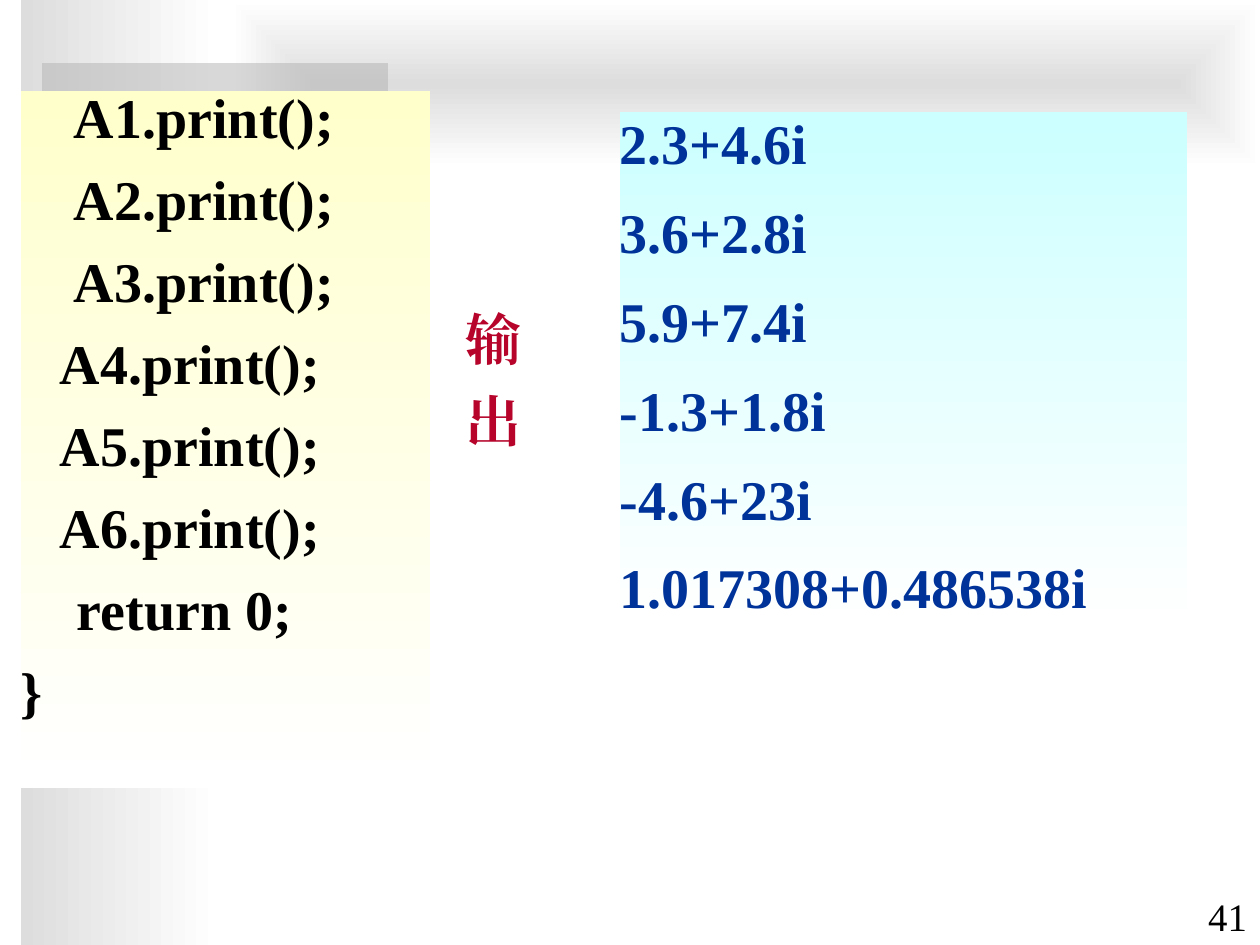
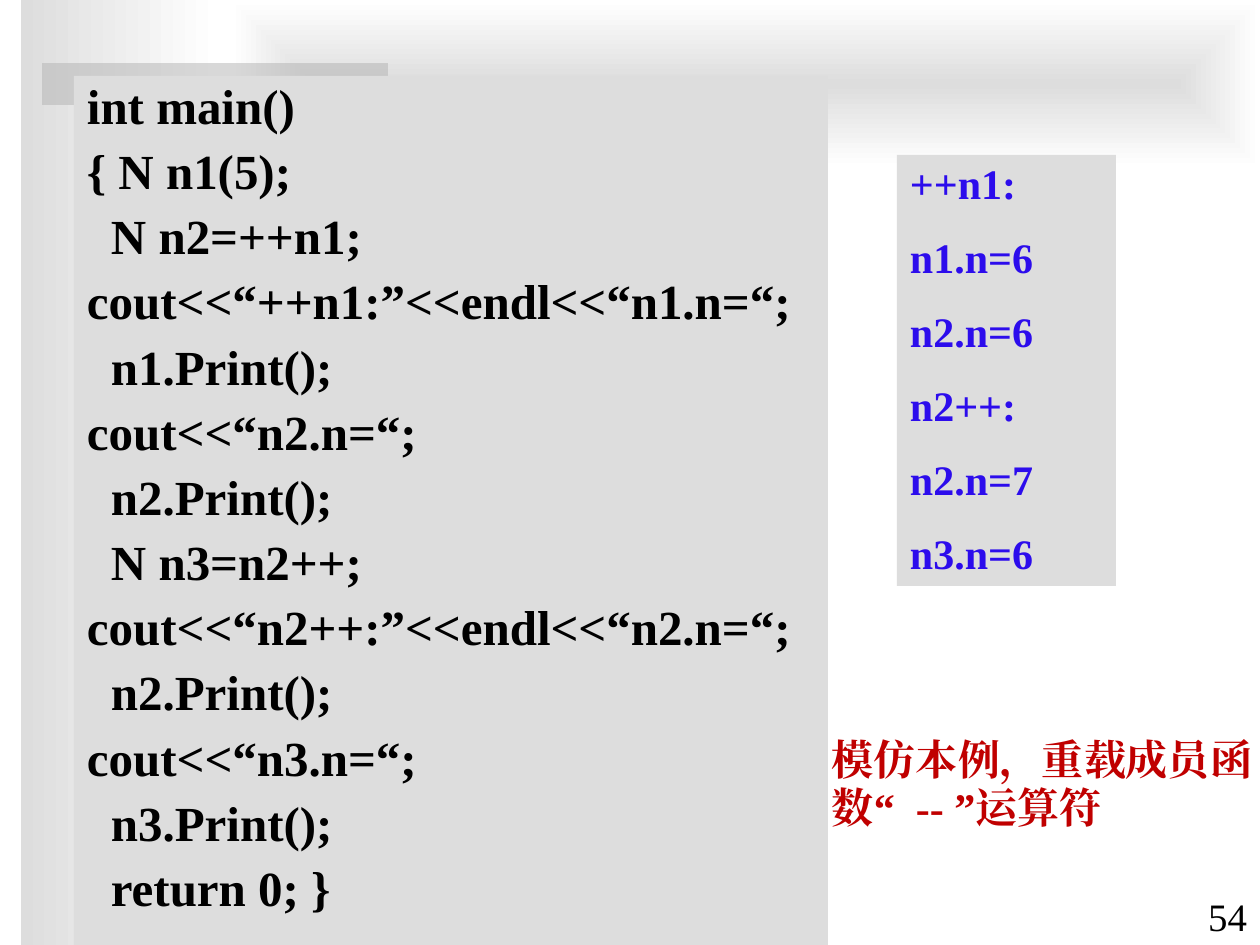
from lxml import etree
from pptx import Presentation
from pptx.dml.color import RGBColor
from pptx.enum import shapes, text
from pptx.oxml import ns
from pptx.util import Emu, Pt

SCALE = 914400 / 126
FONT = "Times New Roman"
BLACK = RGBColor(0x00, 0x00, 0x00)
WHITE = RGBColor(0xFF, 0xFF, 0xFF)
SILVER = RGBColor(0xDD, 0xDD, 0xDD)
GREY = RGBColor(0xB2, 0xB2, 0xB2)
CREAM = RGBColor(0xFF, 0xFF, 0xCC)
AQUA = RGBColor(0xCC, 0xFF, 0xFF)
NAVY = RGBColor(0x00, 0x33, 0x99)
BLUE = RGBColor(0x2C, 0x0C, 0xEC)
CRIMSON = RGBColor(0xB6, 0x04, 0x2A)
RED = RGBColor(0xC0, 0x00, 0x00)

PAGE_WIDTH, PAGE_HEIGHT = 1260, 945
PADDED = (13, 6)
FLUSH = (0, 10)
RIGHTWARD, DOWNWARD = 0, 270


def px(length):
    return Emu(round(length * SCALE))


def add_rectangle(page, box):
    shape = page.shapes.add_shape(shapes.MSO_SHAPE.RECTANGLE, *map(px, box))
    shape.shadow.inherit = False
    shape.line.fill.background()
    return shape


def fill_solid(shape, color):
    shape.fill.solid()
    shape.fill.fore_color.rgb = color


def fill_fading(shape, color, angle):
    shape.fill.gradient()
    shape.fill.gradient_angle = angle
    for stop, shade, position in zip(shape.fill.gradient_stops, (color, WHITE), (0, 1)):
        stop.color.rgb = shade
        stop.position = position


def fade_from_center(shape):
    gradient = shape._element.spPr.find(ns.qn("a:gradFill"))
    gradient.remove(gradient.find(ns.qn("a:lin")))
    center = etree.SubElement(gradient, ns.qn("a:path"), {"path": "rect"})
    sides = dict.fromkeys("ltrb", "50000")
    etree.SubElement(center, ns.qn("a:fillToRect"), sides)


def make_translucent(shape, percent):
    color = shape._element.spPr.find(".//" + ns.qn("a:srgbClr"))
    etree.SubElement(color, ns.qn("a:alpha"), {"val": str(percent * 1000)})


def write_lines(shape, lines, size, color, bold=True, inset=PADDED,
                anchor=text.MSO_ANCHOR.TOP, align=text.PP_ALIGN.LEFT,
                spacing=1.0, before=0):
    frame = shape.text_frame
    side, top = map(px, inset)
    frame_format = {"word_wrap": True, "vertical_anchor": anchor,
                    "margin_left": side, "margin_right": side,
                    "margin_top": top, "margin_bottom": top}
    para_format = {"alignment": align, "line_spacing": spacing, "space_before": Pt(before)}
    font_format = {"name": FONT, "size": Pt(size), "bold": bold}
    for name, value in frame_format.items():
        setattr(frame, name, value)
    for index, (words, indent) in enumerate(lines):
        para = frame.add_paragraph() if index else frame.paragraphs[0]
        for name, value in para_format.items():
            setattr(para, name, value)
        para._p.get_or_add_pPr().set("marL", str(px(indent)))
        span = para.add_run()
        span.text = words
        for name, value in font_format.items():
            setattr(span.font, name, value)
        span.font.color.rgb = color
        etree.SubElement(span._r.get_or_add_rPr(), ns.qn("a:ea"), {"typeface": FONT})


def plain(lines):
    return [(line, 0) for line in lines]


def add_label(page, box, lines, size, color, **style):
    label = page.shapes.add_textbox(*map(px, box))
    write_lines(label, plain(lines), size, color, **style)


def add_page(deck, number):
    page = deck.slides.add_slide(deck.slide_layouts[6])
    fill_fading(add_rectangle(page, (21, 0, 199, PAGE_HEIGHT)), SILVER, RIGHTWARD)
    top_band = add_rectangle(page, (231, 0, 1029, 168))
    fill_fading(top_band, SILVER, RIGHTWARD)
    fade_from_center(top_band)
    accent = add_rectangle(page, (42, 63, 346, 42))
    fill_solid(accent, GREY)
    make_translucent(accent, 50)
    add_label(page, (1134, 883, 126, 63), [str(number)], 22.2, BLACK, bold=False,
              anchor=text.MSO_ANCHOR.BOTTOM, align=text.PP_ALIGN.RIGHT, spacing=0.9)
    return page


def add_fading_panel(page, box, shade, lines, color, spacing):
    panel = add_rectangle(page, box)
    fill_fading(panel, shade, DOWNWARD)
    write_lines(panel, lines, 32, color, inset=FLUSH, spacing=spacing, before=20)


def add_solid_panel(page, box, lines, size, color, spacing, before):
    panel = add_rectangle(page, box)
    fill_solid(panel, SILVER)
    write_lines(panel, lines, size, color, spacing=spacing, before=before)


def add_complex_page(deck):
    page = add_page(deck, 41)
    calls = [(f"A{index}.print();", 53 if index <= 3 else 39) for index in range(1, 7)]
    add_fading_panel(page, (21, 91, 409, 697), CREAM,
                     calls + [("return 0;", 56), ("}", 0)], BLACK, 0.7)
    add_label(page, (462, 294, 63, 170), "输出", 32, CRIMSON, inset=(0, 0),
              anchor=text.MSO_ANCHOR.MIDDLE, align=text.PP_ALIGN.CENTER, before=8)
    results = ["2.3+4.6i", "3.6+2.8i", "5.9+7.4i", "-1.3+1.8i", "-4.6+23i",
               "1.017308+0.486538i"]
    add_fading_panel(page, (620, 112, 567, 518), AQUA, plain(results), NAVY, 0.8)


def add_increment_page(deck):
    page = add_page(deck, 54)
    step = 24
    code = [
        ("int main()", 0),
        ("{ N n1(5);", 0),
        ("N n2=++n1;", step),
        ("cout<<“++n1:”<<endl<<“n1.n=“;", 0),
        ("n1.Print();", step),
        ("cout<<“n2.n=“;", 0),
        ("n2.Print();", step),
        ("N n3=n2++;", step),
        ("cout<<“n2++:”<<endl<<“n2.n=“;", 0),
        ("n2.Print();", step),
        ("cout<<“n3.n=“;", 0),
        ("n3.Print();", step),
        ("return 0; }", step),
    ]
    add_solid_panel(page, (74, 76, 754, 869), code, 28, BLACK, 0.9, 7)
    results = ["++n1:", "n1.n=6", "n2.n=6", "n2++:", "n2.n=7", "n3.n=6"]
    add_solid_panel(page, (897, 155, 219, 431), plain(results), 24, BLUE, 0.95, 15)
    add_label(page, (819, 731, 446, 108), ["模仿本例，重载成员函数“  -- ”运算符"],
              24, RED, spacing=0.95, before=15)


def main():
    deck = Presentation()
    deck.slide_width, deck.slide_height = px(PAGE_WIDTH), px(PAGE_HEIGHT)
    add_complex_page(deck)
    add_increment_page(deck)
    deck.save("out.pptx")


if __name__ == "__main__":
    main()
